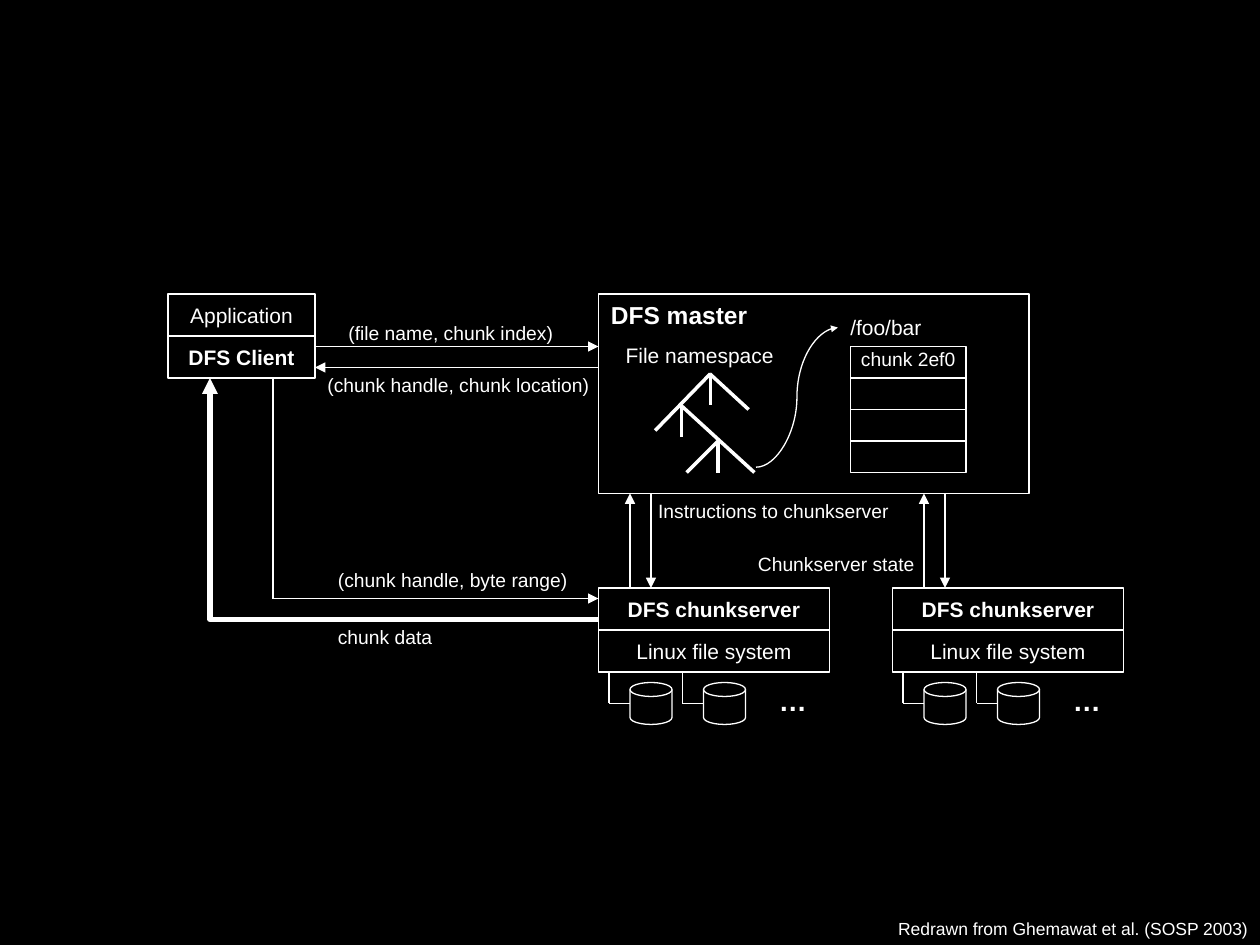
from lxml import etree
from pptx import Presentation
from pptx import util as u
from pptx.dml.color import RGBColor
from pptx.enum import shapes, text
from pptx.oxml.ns import qn

THEME = dict(
    font="Arial", ink=RGBColor(255, 255, 255), paper=RGBColor(0, 0, 0),
    thin=0.75, branch=2, thick=3,
    caption=10, label=11, body=12, title=14, dots=16,
)
KIND, LINK = shapes.MSO_SHAPE, shapes.MSO_CONNECTOR
ALIGN = text.PP_ALIGN

prs = Presentation()
prs.slide_width, prs.slide_height = u.Inches(10), u.Inches(7.5)
s = prs.slides.add_slide(prs.slide_layouts[6])
s.background.fill.solid()
s.background.fill.fore_color.rgb = THEME["paper"]

# The grid has 120 columns and 90 rows of square cells
CELL = prs.slide_width / 120


def add_box(x, y, w, h, words="", size="body", bold=False, kind=KIND.RECTANGLE,
            align=ALIGN.CENTER, wrap=True):
    """Outlined shape, or a plain text box when kind is None."""
    at = [round(v * CELL) for v in (x, y, w, h)]
    if kind is None:
        sp = s.shapes.add_textbox(*at)
    else:
        sp = s.shapes.add_shape(kind, *at)
        sp.shadow.inherit = False
        sp.fill.background()
        sp.line.color.rgb = THEME["ink"]
        sp.line.width = u.Pt(THEME["thin"])
    if words:
        tf = sp.text_frame
        tf.word_wrap = wrap
        tf.vertical_anchor = (text.MSO_ANCHOR.TOP if kind is None
                              else text.MSO_ANCHOR.MIDDLE)
        p = tf.paragraphs[0]
        p.alignment = align
        r = p.add_run()
        r.text = words
        look = dict(name=THEME["font"], size=u.Pt(THEME[size]), bold=bold)
        for key, value in look.items():
            setattr(r.font, key, value)
        r.font.color.rgb = THEME["ink"]


def add_line(x1, y1, x2, y2, width="thin", head=None, kind=LINK.STRAIGHT):
    """Line from one grid point to another; head is the arrowhead's size."""
    c = s.shapes.add_connector(kind, *[round(v * CELL) for v in (x1, y1, x2, y2)])
    c.line.color.rgb = THEME["ink"]
    c.line.width = u.Pt(THEME[width])
    if head:
        etree.SubElement(c.line._get_or_add_ln(), qn("a:tailEnd"),
                         type="triangle", w=head, len=head)
    etree.SubElement(c._element.spPr, qn("a:effectLst"))
    return c


# Client
add_box(16, 28, 14, 4, "Application")
add_box(16, 32, 14, 4, "DFS Client", bold=True)

# Master with its chunk table
add_box(57, 28, 41, 19)
for row in range(4):
    add_box(81, 33 + 3 * row, 11, 3)
add_box(80, 32.5, 13, 3.5, "chunk 2ef0", "label", kind=None)

# Namespace tree and the curve to the file
for branch in [
    (67.65, 35.6, 62.4, 41), (67.6, 35.6, 71.3, 39), (67.65, 35.6, 67.65, 38.6),
    (64.9, 38.6, 64.9, 41.6), (64.85, 38.6, 71.85, 45),
    (68.4, 42, 68.4, 45), (68.4, 42, 65.4, 45),
]:
    add_line(*branch, width="branch")
add_line(72, 44.5, 79.8, 31.2, head="sm", kind=LINK.CURVE)

# Chunkservers, each with two disks and a pair of arrows to the master
for left in (57, 85):
    add_box(left, 56, 22, 4, "DFS chunkserver", bold=True)
    add_box(left, 60, 22, 4, "Linux file system")
    for x in (left + 1, left + 8):
        add_box(x + 2, 65, 4, 4, kind=KIND.FLOWCHART_MAGNETIC_DISK)
        add_line(x, 64, x, 67)
        add_line(x, 67, x + 2, 67)
    add_box(left + 16, 64.5, 5.2, 4.5, "…", "dots", True, None, ALIGN.LEFT, False)
    add_line(left + 5, 47, left + 5, 56, head="med")
    add_line(left + 3, 56, left + 3, 47, head="med")

# Client to master, and client to chunkserver
add_line(30, 33, 57, 33, head="med")
add_line(57, 35, 30, 35, head="med")
add_line(26, 57, 26, 36)
add_line(26, 57, 57, 57, head="med")

# Chunk data: a single bend, turned to run left and then up
data = add_line(20, 36, 57, 59, "thick", "med", LINK.ELBOW)
data._element.spPr.find(qn("a:prstGeom")).set("prst", "bentConnector2")
data._element.spPr.find(qn("a:xfrm")).set("rot", str(180 * 60000))

# Labels
for x, y, w, h, words, size, bold in [
    (57, 28, 15.6, 4, "DFS master", "title", True),
    (58.4, 32, 16.7, 3.6, "File namespace", "body", False),
    (79.8, 29.4, 9.2, 3.6, "/foo/bar", "body", False),
    (32, 30, 22, 3.5, "(file name, chunk index)", "label", False),
    (30, 35, 27.5, 3.5, "(chunk handle, chunk location)", "label", False),
    (61.5, 47, 24.5, 3.5, "Instructions to chunkserver", "label", False),
    (71, 52, 17.4, 3.5, "Chunkserver state", "label", False),
    (31, 53.5, 24.4, 3.5, "(chunk handle, byte range)", "label", False),
    (31, 59, 11.5, 3.5, "chunk data", "label", False),
]:
    add_box(x, y, w, h, words, size, bold, None, ALIGN.LEFT, False)

# Source of the figure
add_box(84, 86.8, 36, 3.2, "Redrawn from Ghemawat et al. (SOSP 2003)", "caption",
        kind=None, align=ALIGN.RIGHT, wrap=False)

prs.save("out.pptx")
